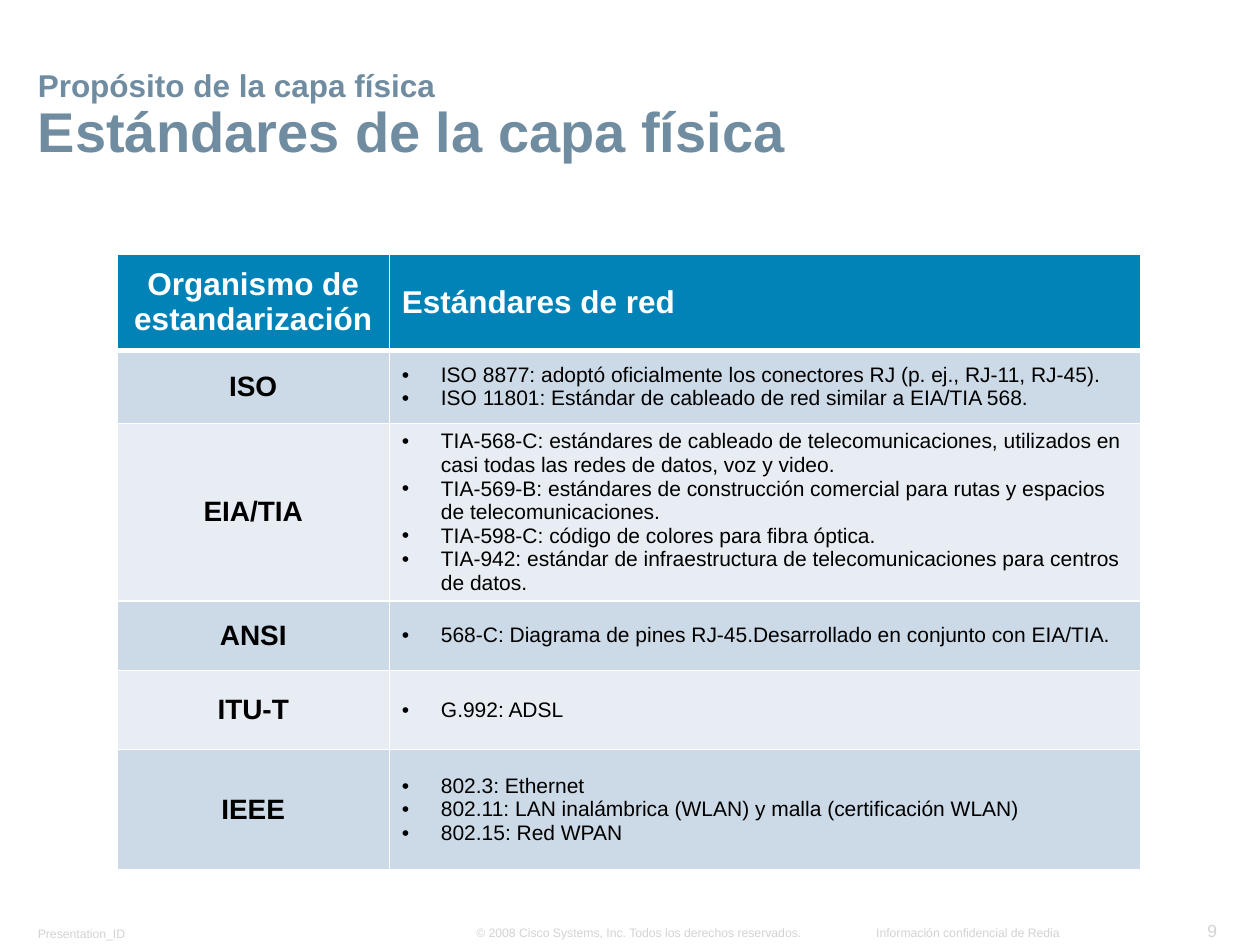
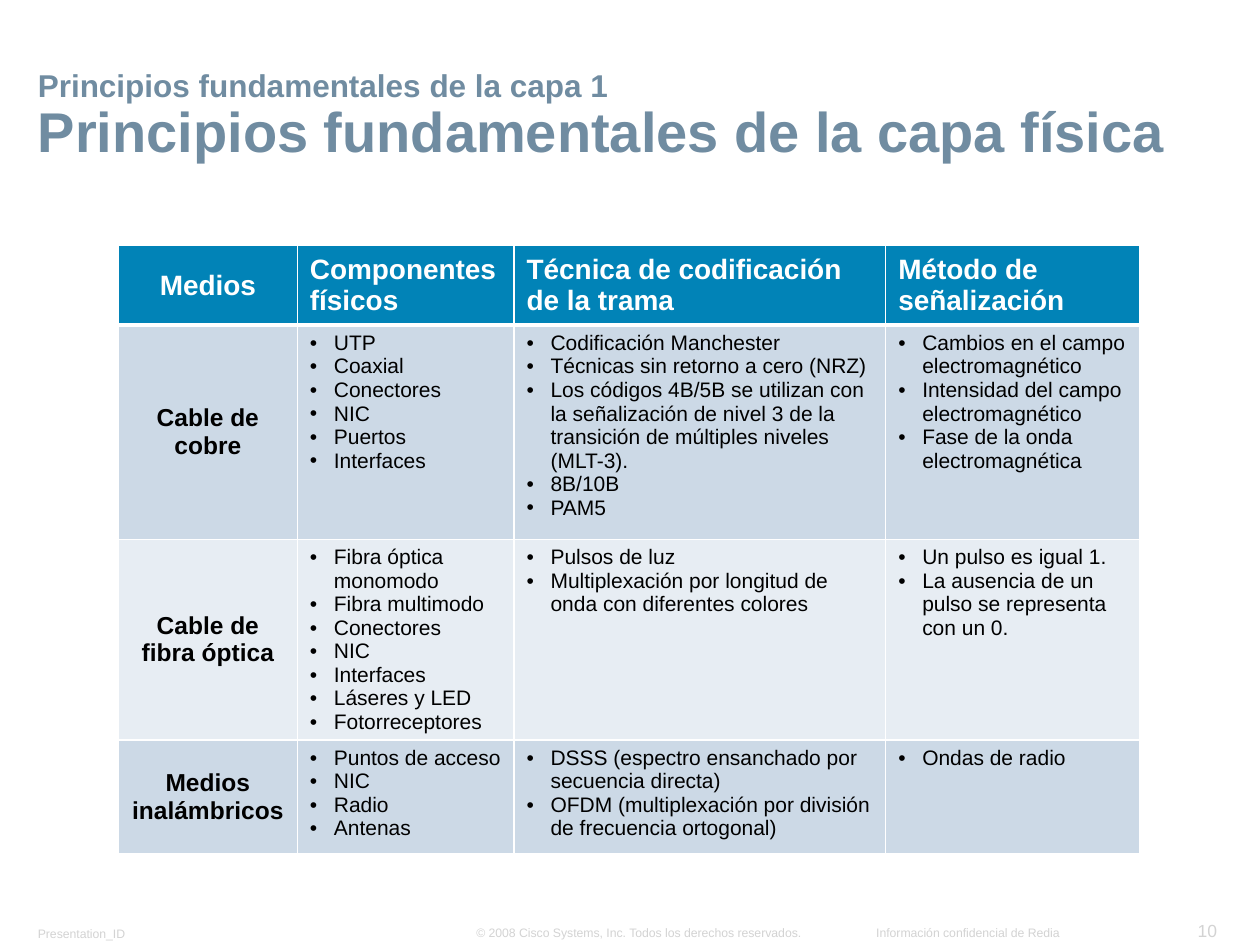
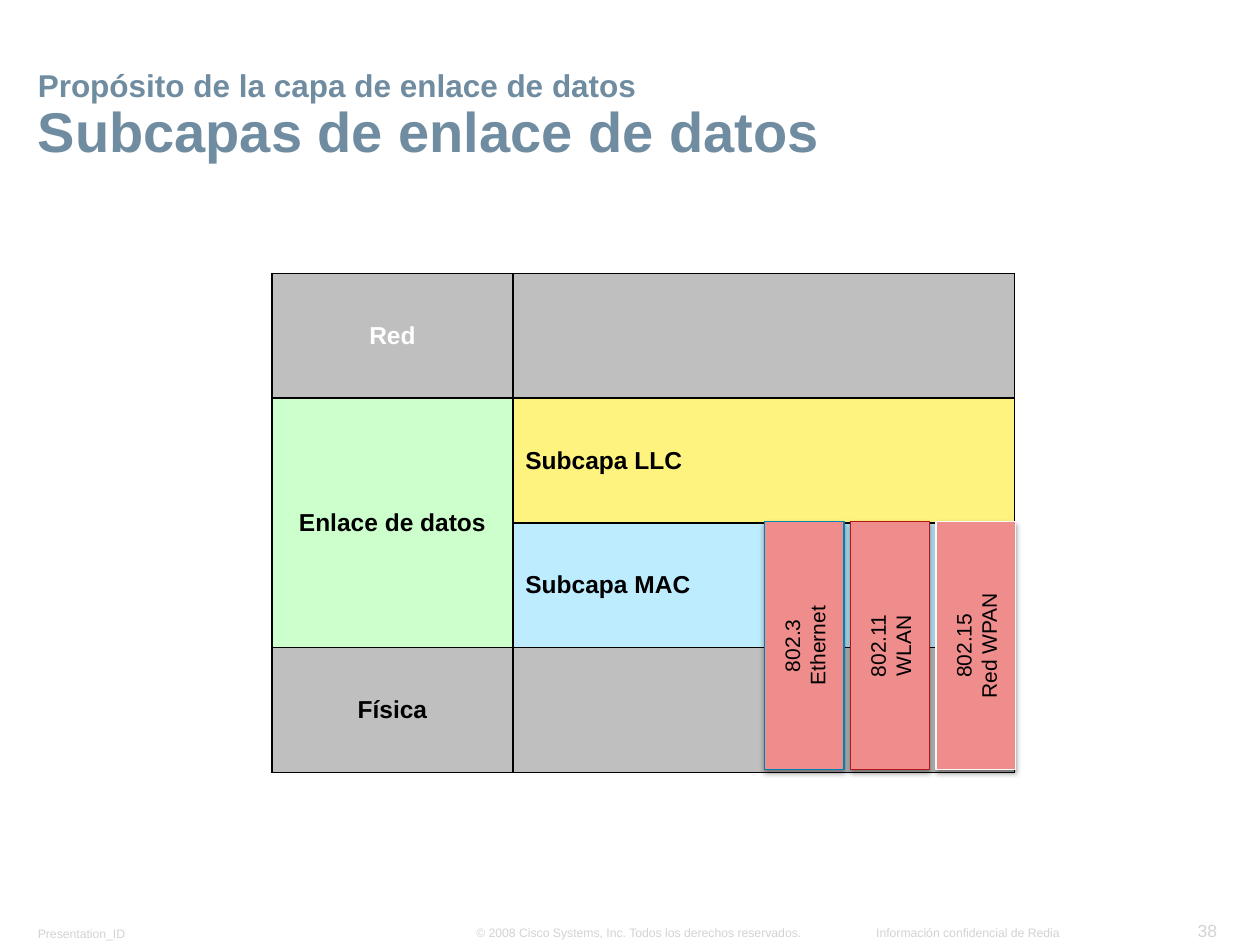
"""Build three slides on the standards, media and sublayers of the lower network layers."""
from dataclasses import dataclass

import lxml.etree
import pptx
import pptx.dml.color
import pptx.enum.shapes
import pptx.enum.text
import pptx.oxml.ns
import pptx.presentation
import pptx.shapes.autoshape
import pptx.slide
import pptx.table
import pptx.text.text
import pptx.util

Inches = pptx.util.Inches
Align = pptx.enum.text.PP_ALIGN
Anchor = pptx.enum.text.MSO_ANCHOR


@dataclass(frozen=True)
class Theme:
    font: str = "Arial"
    title: str = "708CA1"
    footer: str = "D3D3D3"
    header: str = "0183B7"
    bands: tuple[str, str] = ("CCD9E6", "E7EDF3")
    white: str = "FFFFFF"
    black: str = "000000"
    gray: str = "BFBFBF"
    green: str = "CCFFCC"
    yellow: str = "FFF37F"
    sky: str = "BEECFF"
    standard: str = "EF8C8C"
    kicker_size: int = 18
    title_size: int = 32
    footer_size: int = 7
    number_size: int = 10
    body_size: int = 12
    layer_size: int = 14


THEME = Theme()


@dataclass(frozen=True)
class Footer:
    text: str
    left: float
    top: float
    width: float
    height: float = 0.21
    align: Align = Align.LEFT
    size: int = THEME.footer_size
    wrap: bool = False


@dataclass(frozen=True)
class BulletTable:
    left: float
    top: float
    widths: tuple[float, ...]
    heights: tuple[float, ...]
    headers: tuple[str, ...]
    rows: tuple[tuple[str, tuple[tuple[str, ...], ...]], ...]
    header_size: int
    label_size: int
    indent: float
    anchor: Anchor


@dataclass(frozen=True)
class LayerCell:
    row: int
    column: int
    fill: str
    text: str = ""
    color: str = THEME.black


@dataclass(frozen=True)
class Standard:
    number: str
    name: str
    line: str


FOOTERS = (
    Footer("Presentation_ID", 0.21, 7.3, 1.05, wrap=True),
    Footer("© 2008 Cisco Systems, Inc. Todos los derechos reservados.", 3.69, 7.29, 2.82),
    Footer("Información confidencial de Redia", 6.85, 7.29, 1.65, align=Align.RIGHT),
)

STANDARDS_TABLE = BulletTable(
    left=0.93, top=2.02,
    widths=(2.16, 5.96),
    heights=(0.76, 0.58, 1.41, 0.55, 0.63, 0.95),
    headers=("Organismo de estandarización", "Estándares de red"),
    rows=(
        ("ISO", ((
            "ISO 8877: adoptó oficialmente los conectores RJ (p. ej., RJ-11, RJ-45).",
            "ISO 11801: Estándar de cableado de red similar a EIA/TIA 568.",
        ),)),
        ("EIA/TIA", ((
            "TIA-568-C: estándares de cableado de telecomunicaciones, utilizados en casi todas "
            "las redes de datos, voz y video.",
            "TIA-569-B: estándares de construcción comercial para rutas y espacios de "
            "telecomunicaciones.",
            "TIA-598-C: código de colores para fibra óptica.",
            "TIA-942: estándar de infraestructura de telecomunicaciones para centros de datos.",
        ),)),
        ("ANSI", (("568-C: Diagrama de pines RJ-45.Desarrollado en conjunto con EIA/TIA.",),)),
        ("ITU-T", (("G.992: ADSL",),)),
        ("IEEE", ((
            "802.3: Ethernet",
            "802.11: LAN inalámbrica (WLAN) y malla (certificación WLAN)",
            "802.15: Red WPAN",
        ),)),
    ),
    header_size=18, label_size=16, indent=0.31, anchor=Anchor.MIDDLE,
)

MEDIA_TABLE = BulletTable(
    left=0.94, top=1.95,
    widths=(1.42, 1.72, 2.95, 2.02),
    heights=(0.63, 1.7, 1.59, 0.9),
    headers=("Medios", "Componentes físicos", "Técnica de codificación de la trama",
             "Método de señalización"),
    rows=(
        ("Cable de cobre", (
            ("UTP", "Coaxial", "Conectores", "NIC", "Puertos", "Interfaces"),
            ("Codificación Manchester", "Técnicas sin retorno a cero (NRZ)",
             "Los códigos 4B/5B se utilizan con la señalización de nivel 3 de la transición "
             "de múltiples niveles (MLT-3).", "8B/10B", "PAM5"),
            ("Cambios en el campo electromagnético", "Intensidad del campo electromagnético",
             "Fase de la onda electromagnética"),
        )),
        ("Cable de fibra óptica", (
            ("Fibra óptica monomodo", "Fibra multimodo", "Conectores", "NIC", "Interfaces",
             "Láseres y LED", "Fotorreceptores"),
            ("Pulsos de luz", "Multiplexación por longitud de onda con diferentes colores"),
            ("Un pulso es igual 1.", "La ausencia de un pulso se representa con un 0."),
        )),
        ("Medios inalámbricos", (
            ("Puntos de acceso", "NIC", "Radio", "Antenas"),
            ("DSSS (espectro ensanchado por secuencia directa)",
             "OFDM (multiplexación por división de frecuencia ortogonal)"),
            ("Ondas de radio",),
        )),
    ),
    header_size=16, label_size=14, indent=0.19, anchor=Anchor.TOP,
)

LAYER_CELLS = (
    LayerCell(0, 0, THEME.gray, "Red", THEME.white),
    LayerCell(0, 1, THEME.gray),
    LayerCell(1, 0, THEME.green, "Enlace de datos"),
    LayerCell(1, 1, THEME.yellow, "Subcapa LLC"),
    LayerCell(2, 1, THEME.sky, "Subcapa MAC"),
    LayerCell(3, 0, THEME.gray, "Física"),
    LayerCell(3, 1, THEME.gray),
)

STANDARDS = (
    Standard("802.3", "Ethernet", "0081B4"),
    Standard("802.11", "WLAN", "B21616"),
    Standard("802.15", "Red WPAN", "F9F9F9"),
)


def rgb(value: str) -> pptx.dml.color.RGBColor:
    return pptx.dml.color.RGBColor.from_string(value)


def add_xml(parent: lxml.etree._Element, tag: str, **attributes: object) -> lxml.etree._Element:
    values = {name: str(value) for name, value in attributes.items()}
    return lxml.etree.SubElement(parent, pptx.oxml.ns.qn(tag), values)


def write(para: pptx.text.text._Paragraph, text: str, *, size: int, color: str = THEME.black,
          bold: bool = False, align: Align = Align.LEFT) -> None:
    para.alignment = align
    span = para.add_run()
    span.text = text
    span.font.name = THEME.font
    span.font.size = pptx.util.Pt(size)
    span.font.bold = bold
    span.font.color.rgb = rgb(color)


def write_lines(frame: pptx.text.text.TextFrame, lines: tuple[str, ...], *,
                indent: float = 0, **style: object) -> None:
    for index, line in enumerate(lines):
        para = frame.add_paragraph() if index else frame.paragraphs[0]
        if indent:
            properties = para._p.get_or_add_pPr()
            properties.set("marL", str(Inches(indent)))
            properties.set("indent", str(-Inches(indent)))
            add_xml(add_xml(properties, "a:buClr"), "a:srgbClr", val=THEME.black)
            add_xml(properties, "a:buFont", typeface=THEME.font)
            add_xml(properties, "a:buChar", char="•")
        write(para, line, **style)


def set_frame(frame: pptx.text.text.TextFrame, wrap: bool) -> None:
    frame.auto_size = pptx.enum.text.MSO_AUTO_SIZE.NONE
    frame.word_wrap = wrap
    frame.vertical_anchor = Anchor.BOTTOM
    frame.margin_left = frame.margin_right = Inches(0.09)
    frame.margin_top = frame.margin_bottom = Inches(0.04)


def add_footer(page: pptx.slide.Slide, footer: Footer) -> None:
    box = page.shapes.add_textbox(Inches(footer.left), Inches(footer.top),
                                  Inches(footer.width), Inches(footer.height))
    set_frame(box.text_frame, footer.wrap)
    write(box.text_frame.paragraphs[0], footer.text, size=footer.size,
          color=THEME.footer, align=footer.align)


def add_page(deck: pptx.presentation.Presentation, number: int, kicker: str,
             title: str) -> pptx.slide.Slide:
    page = deck.slides.add_slide(deck.slide_layouts.get_by_name("Title Only"))
    for footer in FOOTERS:
        add_footer(page, footer)
    add_footer(page, Footer(str(number), 9.4, 7.25, 0.35, 0.26, Align.RIGHT, THEME.number_size))
    box = page.shapes.title
    box.left, box.top = Inches(0.21), Inches(0.43)
    box.width, box.height = Inches(9.59), Inches(0.92)
    set_frame(box.text_frame, True)
    para = box.text_frame.paragraphs[0]
    para.line_spacing = 0.9
    write(para, kicker, size=THEME.kicker_size, color=THEME.title, bold=True)
    para.add_line_break()
    add_xml(para._p[-1], "a:rPr", sz=THEME.kicker_size * 100)
    write(para, title, size=THEME.title_size, color=THEME.title, bold=True)
    return page


def add_grid(page: pptx.slide.Slide, left: float, top: float, widths: tuple[float, ...],
             heights: tuple[float, ...]) -> pptx.table.Table:
    grid = page.shapes.add_table(len(heights), len(widths), Inches(left), Inches(top),
                                 Inches(sum(widths)), Inches(sum(heights))).table
    grid.first_row = grid.horz_banding = False
    for column, width in zip(grid.columns, widths):
        column.width = Inches(width)
    for row, height in zip(grid.rows, heights):
        row.height = Inches(height)
    return grid


def format_cell(cell: pptx.table._Cell, fill: str, border: str, *, top: int = 1,
                bottom: int = 1, anchor: Anchor = Anchor.MIDDLE) -> None:
    cell.vertical_anchor = anchor
    properties = cell._tc.get_or_add_tcPr()
    for side, width in (("L", 1), ("R", 1), ("T", top), ("B", bottom)):
        line = add_xml(properties, f"a:ln{side}", w=pptx.util.Pt(width))
        add_xml(add_xml(line, "a:solidFill"), "a:srgbClr", val=border)
    cell.fill.solid()
    cell.fill.fore_color.rgb = rgb(fill)


def add_bullet_table(page: pptx.slide.Slide, table: BulletTable) -> None:
    grid = add_grid(page, table.left, table.top, table.widths, table.heights)
    for column, header in enumerate(table.headers):
        cell = grid.cell(0, column)
        format_cell(cell, THEME.header, THEME.white, bottom=3)
        write_lines(cell.text_frame, (header,), size=table.header_size, color=THEME.white,
                    bold=True, align=Align.LEFT if column else Align.CENTER)
    for row, (label, columns) in enumerate(table.rows, 1):
        fill = THEME.bands[(row - 1) % 2]
        top = 3 if row == 1 else 1
        cell = grid.cell(row, 0)
        format_cell(cell, fill, THEME.white, top=top)
        write_lines(cell.text_frame, (label,), size=table.label_size, bold=True,
                    align=Align.CENTER)
        for column, bullets in enumerate(columns, 1):
            cell = grid.cell(row, column)
            format_cell(cell, fill, THEME.white, top=top, anchor=table.anchor)
            write_lines(cell.text_frame, bullets, indent=table.indent, size=THEME.body_size)


def add_layers(page: pptx.slide.Slide) -> None:
    grid = add_grid(page, 2.16, 2.17, (1.91, 3.98), (0.99,) * 4)
    grid.cell(1, 0).merge(grid.cell(2, 0))
    for layer in LAYER_CELLS:
        cell = grid.cell(layer.row, layer.column)
        format_cell(cell, layer.fill, THEME.black)
        if layer.text:
            write_lines(cell.text_frame, (layer.text,), size=THEME.layer_size,
                        color=layer.color, bold=True,
                        align=Align.LEFT if layer.column else Align.CENTER)
    format_cell(grid.cell(2, 0), THEME.green, THEME.black)


def add_shadow(shape: pptx.shapes.autoshape.Shape) -> None:
    shape.shadow.inherit = False
    effects = shape._element.spPr.find(pptx.oxml.ns.qn("a:effectLst"))
    shadow = add_xml(effects, "a:outerShdw", blurRad=pptx.util.Pt(3.1),
                     dist=pptx.util.Pt(1.6), dir=90 * 60000, rotWithShape=0)
    add_xml(add_xml(shadow, "a:srgbClr", val=THEME.black), "a:alpha", val=38000)


def add_standards(page: pptx.slide.Slide) -> None:
    for index, standard in enumerate(STANDARDS):
        bar = page.shapes.add_shape(pptx.enum.shapes.MSO_SHAPE.RECTANGLE,
                                    Inches(6.07 + 0.68 * index), Inches(4.14),
                                    Inches(0.63), Inches(1.97))
        bar.fill.solid()
        bar.fill.fore_color.rgb = rgb(THEME.standard)
        bar.line.color.rgb = rgb(standard.line)
        bar.line.width = pptx.util.Pt(0.75)
        add_shadow(bar)
        frame = bar.text_frame
        frame.word_wrap = True
        frame.vertical_anchor = Anchor.MIDDLE
        frame._txBody.bodyPr.set("vert", "vert270")
        write_lines(frame, (standard.number, standard.name), size=THEME.body_size,
                    align=Align.CENTER)


def main() -> None:
    deck = pptx.Presentation()
    deck.slide_width, deck.slide_height = Inches(10), Inches(7.5)
    page = add_page(deck, 9, "Propósito de la capa física", "Estándares de la capa física")
    add_bullet_table(page, STANDARDS_TABLE)
    page = add_page(deck, 10, "Principios fundamentales de la capa 1",
                    "Principios fundamentales de la capa física")
    add_bullet_table(page, MEDIA_TABLE)
    page = add_page(deck, 38, "Propósito de la capa de enlace de datos",
                    "Subcapas de enlace de datos")
    add_layers(page)
    add_standards(page)
    deck.save("out.pptx")


if __name__ == "__main__":
    main()
